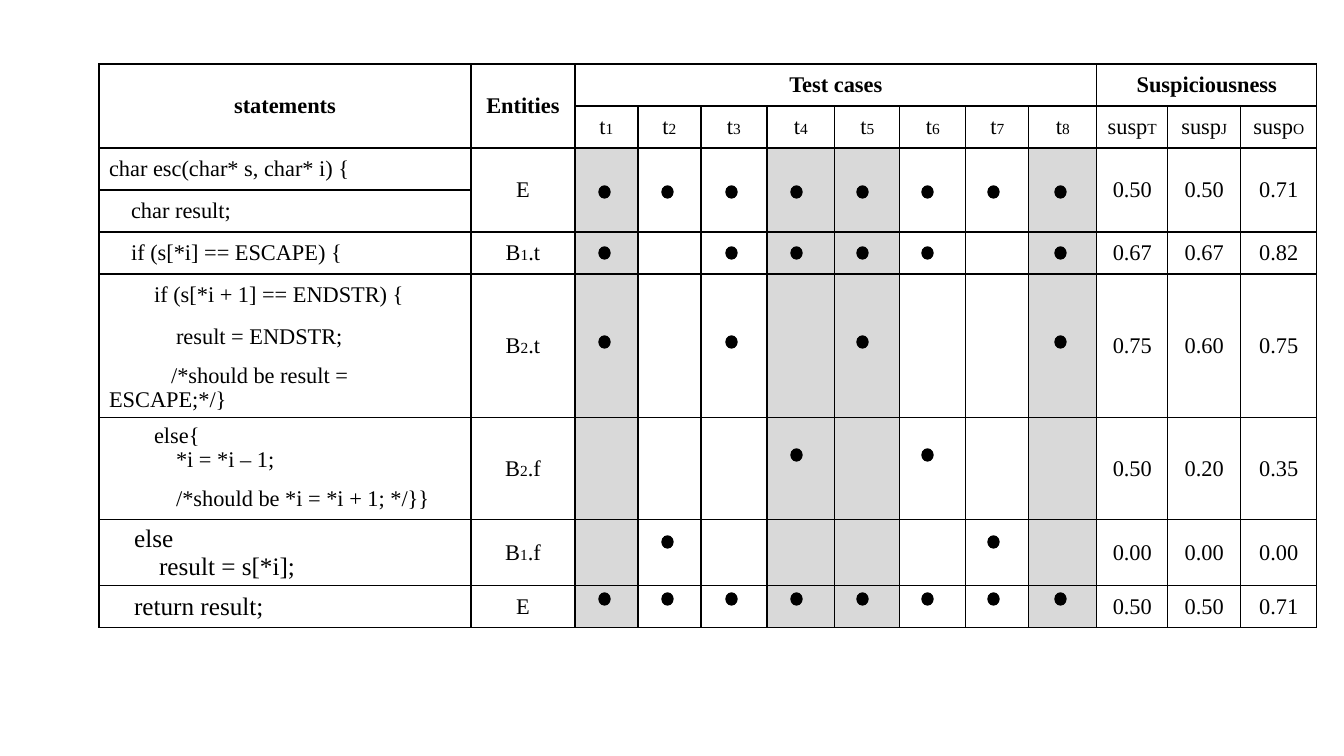
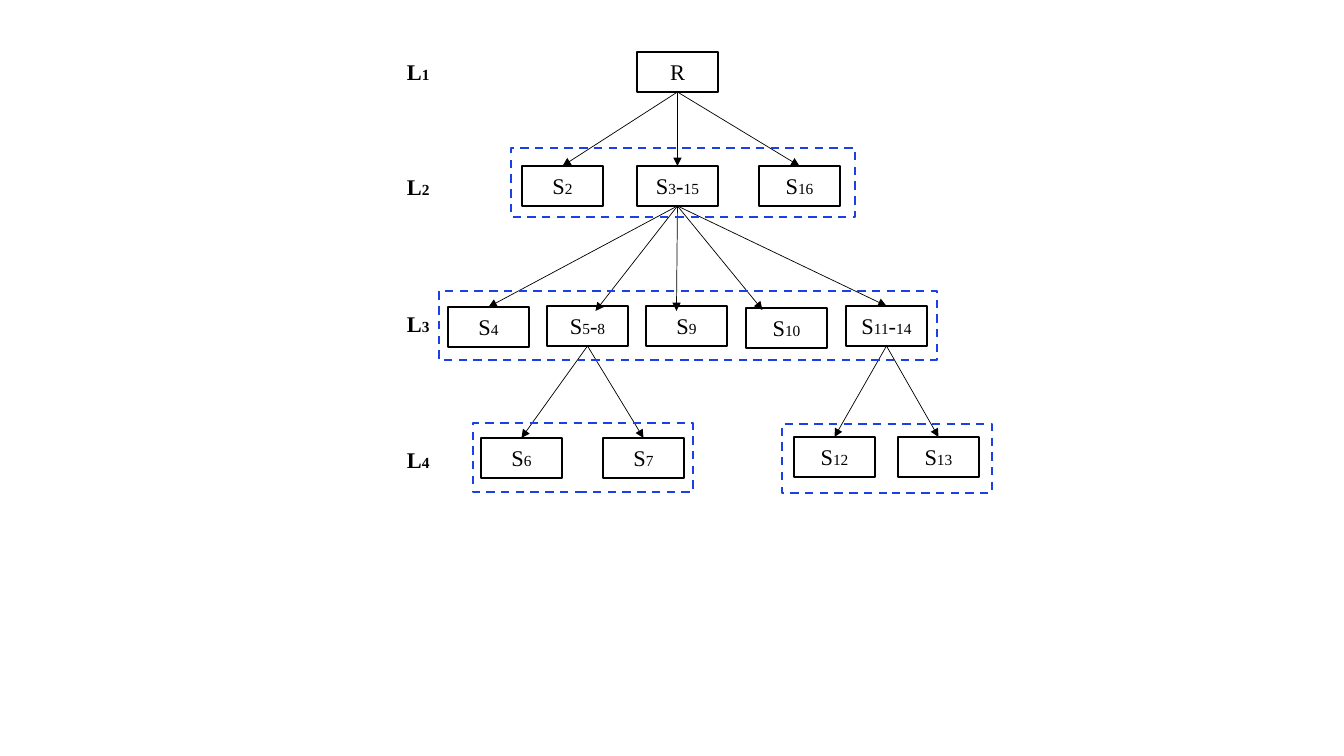
from lxml import etree
from pptx import Presentation
from pptx.dml.color import RGBColor
from pptx.enum.dml import MSO_LINE
from pptx.enum.shapes import MSO_CONNECTOR, MSO_SHAPE
from pptx.enum.text import MSO_ANCHOR, MSO_AUTO_SIZE, PP_ALIGN
from pptx.oxml.ns import qn
from pptx.util import Emu, Pt

RECTANGLE, OVAL = MSO_SHAPE.RECTANGLE, MSO_SHAPE.OVAL
STRAIGHT, DASH = MSO_CONNECTOR.STRAIGHT, MSO_LINE.DASH
LEFT, CENTER, MIDDLE = PP_ALIGN.LEFT, PP_ALIGN.CENTER, MSO_ANCHOR.MIDDLE
FIT = MSO_AUTO_SIZE.SHAPE_TO_FIT_TEXT

FONT, BLACK, GRAY, BLUE = "Times New Roman", "000000", "D9D9D9", "1B41E3"
BODY_SIZE, INDEX_SIZE = 16, 11

COLUMNS = [372, 104, 63, 63, 66, 68, 65, 66, 63, 68, 71, 73, 76]
ROWS = [42, 42, 42, 42, 42, 42, 42, 60, 60, 42, 66, 42]
FIRST_TEST, FIRST_SCORE = 2, 10
SHADED_TESTS = (1, 4, 5, 8)
DOT_LEFTS = [500, 563, 627, 692, 758, 823, 889, 956]
ALL_TESTS = range(1, 9)

# Each block: code rows of (indent, line), text size, ruled, entity, scores, dot top, tests
BLOCKS = [
    ([[(0, "char esc(char* s, char* i) {")], [(22, "char result;")]],
     16, True, "E", ("0.50", "0.50", "0.71"), 122, ALL_TESTS),
    ([[(22, "if (s[*i] == ESCAPE) {")]],
     16, True, "B|1|.t", ("0.67", "0.67", "0.82"), 183, (1, 3, 4, 5, 6, 8)),
    ([[(45, "if (s[*i + 1] == ENDSTR) {")], [(67, "result = ENDSTR;")],
      [(62, "/*should be result = ESCAPE;*/}")]],
     16, False, "B|2|.t", ("0.75", "0.60", "0.75"), 272, (1, 3, 5, 8)),
    ([[(45, "else{"), (67, "*i = *i – 1;")],
      [(67, "/*should be *i = *i + 1; */}}")]],
     16, False, "B|2|.f", ("0.50", "0.20", "0.35"), 385, (4, 6)),
    ([[(25, "else"), (50, "result = s[*i];")]],
     18, True, "B|1|.f", ("0.00", "0.00", "0.00"), 472, (2, 7)),
    ([[(25, "return result;")]],
     18, True, "E", ("0.50", "0.50", "0.71"), 529, ALL_TESTS),
]

NODE_WIDTH, NODE_HEIGHT = 81, 40
NODES = {
    "R": (240, 0),
    "S|2": (125, 114), "S|3|-|15": (240, 114), "S|16": (362, 114),
    "S|4": (51, 255), "S|5|-|8": (150, 254), "S|9": (249, 254),
    "S|10": (349, 256), "S|11|-|14": (449, 254),
    "S|6": (84, 386), "S|7": (206, 386),
    "S|12": (397, 385), "S|13": (501, 385),
}
CHILDREN = {
    "R": ["S|2", "S|3|-|15", "S|16"],
    "S|3|-|15": ["S|4", "S|5|-|8", "S|9", "S|10", "S|11|-|14"],
    "S|5|-|8": ["S|6", "S|7"],
    "S|11|-|14": ["S|12", "S|13"],
}
TIP_SHIFTS = {"S|5|-|8": (8, 5), "S|9": (-10, 5), "S|10": (-24, 2)}
LEVEL_TOPS = [1, 116, 253, 389]
LEVEL_FRAMES = [(114, 96, 344), (42, 239, 498), (76, 371, 220), (385, 372, 210)]
FRAME_HEIGHT = 69


def px(length):
    """Turn pixels into EMU."""
    return Emu(round(length * 12192000 / 1344))


def color(value):
    """Turn a hex string into a colour."""
    return RGBColor.from_string(value)


def write(frame, lines, align=CENTER, size=BODY_SIZE, bold=False):
    """Write (indent, line) pairs; every second piece between bars is an index."""
    for number, (indent, line) in enumerate(lines):
        para = frame.add_paragraph() if number else frame.paragraphs[0]
        para.alignment = align
        if indent:
            properties = para._p.get_or_add_pPr()
            properties.set("marL", "0")
            properties.set("indent", str(px(indent)))
        for place, piece in enumerate(line.split("|")):
            span = para.add_run()
            span.text = piece
            span.font.name = FONT
            span.font.size = Pt(INDEX_SIZE if place % 2 else size)
            span.font.bold = bold
            span.font.color.rgb = color(BLACK)


def add_box(page, kind, left, top, width, height, line=BLACK, weight=1, fill=None):
    """Add an outlined shape without shadow."""
    box = page.shapes.add_shape(kind, px(left), px(top), px(width), px(height))
    box.shadow.inherit = False
    box.line.color.rgb = color(line)
    box.line.width = Pt(weight)
    if fill:
        box.fill.solid()
        box.fill.fore_color.rgb = color(fill)
    else:
        box.fill.background()
    return box


def add_arrow(page, start, end):
    """Add a thin arrow between two points."""
    arrow = page.shapes.add_connector(STRAIGHT, *map(px, start + end))
    arrow.line.color.rgb = color(BLACK)
    arrow.line.width = Pt(0.5)
    outline = arrow.line._get_or_add_ln()
    etree.SubElement(outline, qn("a:tailEnd"), type="triangle")
    etree.SubElement(arrow._element.spPr, qn("a:effectLst"))


def style_cell(cell, hidden="", fill=None):
    """Rule a cell on all but its hidden sides, and set margins and fill."""
    cell.vertical_anchor = MIDDLE
    cell.margin_top = cell.margin_bottom = px(4)
    properties = cell._tc.get_or_add_tcPr()
    for side in "LRTB":
        edge = etree.SubElement(properties, qn("a:ln" + side), w=str(Pt(1)))
        if side in hidden:
            etree.SubElement(edge, qn("a:noFill"))
        else:
            solid = etree.SubElement(edge, qn("a:solidFill"))
            etree.SubElement(solid, qn("a:srgbClr"), val=BLACK)
    if fill:
        cell.fill.solid()
        cell.fill.fore_color.rgb = color(fill)
    else:
        cell.fill.background()


def fill_header(grid):
    """Fill the two header rows."""
    titles = [("statements", 0, 1, 0), ("Entities", 1, 1, 1),
              ("Test cases", FIRST_TEST, 0, FIRST_SCORE - 1),
              ("Suspiciousness", FIRST_SCORE, 0, len(COLUMNS) - 1)]
    for title, column, last_row, last_column in titles:
        grid.cell(0, column).merge(grid.cell(last_row, last_column))
        write(grid.cell(0, column).text_frame, [(0, title)], bold=True)
    names = [f"t|{test}" for test in ALL_TESTS] + [f"susp|{kind}" for kind in "TJO"]
    for column, name in enumerate(names, FIRST_TEST):
        write(grid.cell(1, column).text_frame, [(0, name)])
    for row in range(2):
        for column in range(len(COLUMNS)):
            style_cell(grid.cell(row, column))


def fill_block(grid, first, code, size, ruled, entity, scores):
    """Fill the rows of one code block and merge its other columns."""
    last = first + len(code) - 1
    for row, lines in enumerate(code, first):
        hidden = ""
        if not ruled:
            hidden = ("T" if row > first else "") + ("B" if row < last else "")
        write(grid.cell(row, 0).text_frame, lines, LEFT, size)
        style_cell(grid.cell(row, 0), hidden)
        for column in range(1, len(COLUMNS)):
            shaded = column - FIRST_TEST + 1 in SHADED_TESTS
            style_cell(grid.cell(row, column), fill=GRAY if shaded else None)
    for column in range(1, len(COLUMNS)):
        if last > first:
            grid.cell(first, column).merge(grid.cell(last, column))
    write(grid.cell(first, 1).text_frame, [(0, entity)])
    for column, score in enumerate(scores, FIRST_SCORE):
        write(grid.cell(first, column).text_frame, [(0, score)])


def add_coverage(page, left, top):
    """Add the coverage table with its dots."""
    holder = page.shapes.add_table(len(ROWS), len(COLUMNS), px(left), px(top),
                                   px(sum(COLUMNS)), px(sum(ROWS)))
    grid = holder.table
    grid.first_row = grid.horz_banding = False
    for column, width in zip(grid.columns, COLUMNS):
        column.width = px(width)
    for row, height in zip(grid.rows, ROWS):
        row.height = px(height)
    fill_header(grid)
    first = 2
    for code, size, ruled, entity, scores, dot_top, tests in BLOCKS:
        fill_block(grid, first, code, size, ruled, entity, scores)
        first += len(code)
        for test in tests:
            add_box(page, OVAL, left + DOT_LEFTS[test - 1], top + dot_top, 11, 12,
                    fill=BLACK)


def add_tree(page, left, top):
    """Add the level labels, nodes, arrows and dashed level frames."""
    for level, label_top in enumerate(LEVEL_TOPS, 1):
        label = page.shapes.add_textbox(px(left), px(top + label_top), px(43), px(37))
        label.text_frame.word_wrap = False
        label.text_frame.auto_size = FIT
        write(label.text_frame, [(0, f"L|{level}")], LEFT, bold=True)
    for name, (x, y) in NODES.items():
        node = add_box(page, RECTANGLE, left + x, top + y, NODE_WIDTH, NODE_HEIGHT,
                       weight=1.2)
        node.text_frame.vertical_anchor = MIDDLE
        write(node.text_frame, [(0, name)])
    middle = left + NODE_WIDTH / 2
    for parent, children in CHILDREN.items():
        x, y = NODES[parent]
        start = (middle + x, top + y + NODE_HEIGHT)
        for child in children:
            x, y = NODES[child]
            across, down = TIP_SHIFTS.get(child, (0, 0))
            add_arrow(page, start, (middle + x + across, top + y + down))
    for x, y, width in LEVEL_FRAMES:
        frame = add_box(page, RECTANGLE, left + x, top + y, width, FRAME_HEIGHT,
                        BLUE, 1.5)
        frame.line.dash_style = DASH


def main():
    """Build and save the deck."""
    deck = Presentation()
    deck.slide_width, deck.slide_height = px(1344), px(756)
    blank = deck.slide_layouts[6]
    add_coverage(deck.slides.add_slide(blank), 99, 64)
    add_tree(deck.slides.add_slide(blank), 397, 52)
    deck.save("out.pptx")


main()
